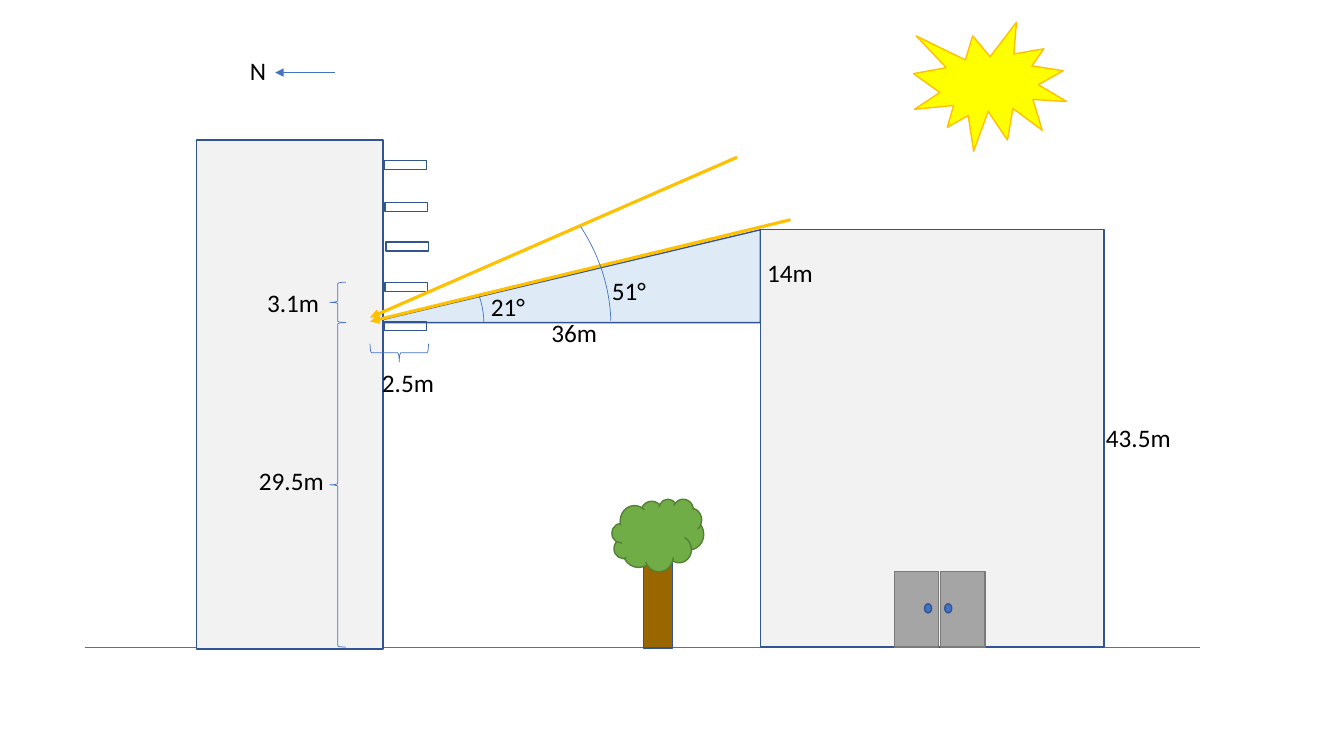
from lxml.etree import SubElement
from pptx import Presentation
from pptx.dml.color import RGBColor
from pptx.enum.shapes import MSO_CONNECTOR, MSO_SHAPE
from pptx.enum.text import MSO_AUTO_SIZE, MSO_ANCHOR
from pptx.oxml.ns import qn
from pptx.util import Emu, Pt

SCALE = 9144
OUTLINE, BLUE, SUNLIGHT = "325491", "4472C4", "FFC000"
WALL, DOOR = "F2F2F2", "A5A5A5"


def px(length):
    """Turn px into EMU."""
    return Emu(length * SCALE)


def color(hex_code):
    """Turn a hex string into a colour."""
    return RGBColor.from_string(hex_code)


def add_outline(slide, kind, box, fill=None, line=OUTLINE, width=1, adjust=(), rotation=0):
    """Draw a preset shape in a box of left, top, width and height."""
    shape = slide.shapes.add_shape(kind, *map(px, box))
    shape.shadow.inherit = False
    if fill:
        shape.fill.solid()
        shape.fill.fore_color.rgb = color(fill)
    else:
        shape.fill.background()
    shape.line.color.rgb = color(line)
    shape.line.width = Pt(width)
    for index, value in enumerate(adjust):
        shape.adjustments[index] = value
    shape.rotation = rotation


def add_ray(slide, start, end, line=BLUE, width=0.5, arrow=True):
    """Draw a straight line, with an arrowhead at its end if asked."""
    ray = slide.shapes.add_connector(MSO_CONNECTOR.STRAIGHT, *map(px, start + end))
    ray.line.color.rgb = color(line)
    ray.line.width = Pt(width)
    properties = ray.line._get_or_add_ln()
    if arrow:
        SubElement(properties, qn("a:tailEnd"), type="triangle")
    SubElement(properties.getparent(), qn("a:effectLst"))


def add_label(slide, text, box, size=18, font="Calibri", ink="000000"):
    """Write a one-line label."""
    label = slide.shapes.add_textbox(*map(px, box))
    frame = label.text_frame
    frame.word_wrap = False
    frame.auto_size = MSO_AUTO_SIZE.SHAPE_TO_FIT_TEXT
    frame.vertical_anchor = MSO_ANCHOR.TOP
    run = frame.paragraphs[0].add_run()
    run.text = text
    run.font.size = Pt(size)
    run.font.name = font
    run.font.color.rgb = color(ink)


def draw_tower(slide, left, top, width, height):
    """Draw the north tower, its sunshades and its measures."""
    add_outline(slide, MSO_SHAPE.RECTANGLE, (left, top, width, height), fill=WALL)
    for shade_x, shade_y in [(186, 20), (187, 62), (188, 101), (187, 141), (186, 180)]:
        add_outline(slide, MSO_SHAPE.RECTANGLE, (left + shade_x, top + shade_y, 42, 9))
    for x, y, brace_width, brace_height, turn in [
        (192, 182, 18, 58, 270),
        (132, 141, 16, 40, 0),
        (132, 181, 16, 322, 0),
    ]:
        add_outline(slide, MSO_SHAPE.LEFT_BRACE, (left + x, top + y, brace_width, brace_height),
                    line=BLUE, width=0.5, rotation=turn)
    add_label(slide, "2.5m", (left + 174, top + 220, 72, 40))
    add_label(slide, "3.1m", (left + 60, top + 141, 72, 40))
    add_label(slide, "29.5m", (left + 52, top + 318, 85, 40))


def draw_hall(slide, left, top, width, height):
    """Draw the south building with its double door and heights."""
    add_outline(slide, MSO_SHAPE.RECTANGLE, (left, top, width, height), fill=WALL)
    for leaf_x, knob_x in [(133, 163), (179, 183)]:
        add_outline(slide, MSO_SHAPE.RECTANGLE, (left + leaf_x, top + height - 75, 44, 75),
                    fill=DOOR, line="7A7A7A")
        add_outline(slide, MSO_SHAPE.OVAL, (left + knob_x, top + height - 43, 7, 9), fill=BLUE)
    add_label(slide, "14m", (left - 3, top + 22, 66, 40))
    add_label(slide, "43.5m", (left + width - 8, top + 186, 85, 40))


def draw_sun_angles(slide, left, top, width, height):
    """Draw the sun rays and their angles over the shadow triangle."""
    ray_end = top + height
    add_ray(slide, (left + 364, top - 72), (left, ray_end - 5), line=SUNLIGHT, width=2.25)
    add_ray(slide, (left + width + 30, top - 10), (left, ray_end - 1), line=SUNLIGHT, width=2.25)
    for arc_box, start in [
        ((left - 60, top + 8, 173, 171), 204.742),
        ((left - 231, top - 106, 470, 403), 200.573),
    ]:
        add_outline(slide, MSO_SHAPE.ARC, arc_box, line=BLUE, width=0.5, adjust=(start, 215.265))
    add_label(slide, "51°", (left + 230, top + 40, 54, 40))
    add_label(slide, "21°", (left + 110, top + 56, 54, 40))
    add_label(slide, "36m", (left + 170, top + 82, 66, 40))


def draw_tree(slide, left, top, width, height):
    """Draw the tree, with its crown over the trunk."""
    add_outline(slide, MSO_SHAPE.RECTANGLE, (left + 31, top + 48, 29, height - 48), fill="996600")
    add_outline(slide, MSO_SHAPE.CLOUD, (left, top, width, 72), fill="70AD47", line="538035")


def draw_north(slide, left, top, width, height):
    """Draw the north pointer."""
    add_ray(slide, (left + width, top + 22), (left + 35, top + 22))
    add_label(slide, "N", (left, top, 36, height))


def main():
    """Build the slide and save it."""
    deck = Presentation()
    deck.slide_width, deck.slide_height = px(1333), px(750)
    slide = deck.slides.add_slide(deck.slide_layouts[6])
    shadow = (367, 228, 387, 92)
    add_outline(slide, MSO_SHAPE.ISOSCELES_TRIANGLE, shadow, fill="DEEBF7", adjust=(1,))
    add_ray(slide, (84, 642), (1190, 642), arrow=False)
    draw_tower(slide, 195, 139, 185, 505)
    draw_hall(slide, 754, 228, 341, 414)
    add_outline(slide, MSO_SHAPE.EXPLOSION1, (906, 22, 152, 128), fill="FFFF00", line=SUNLIGHT)
    draw_sun_angles(slide, *shadow)
    draw_tree(slide, 607, 495, 91, 148)
    draw_north(slide, 238, 50, 94, 40)
    deck.save("out.pptx")


if __name__ == "__main__":
    main()
